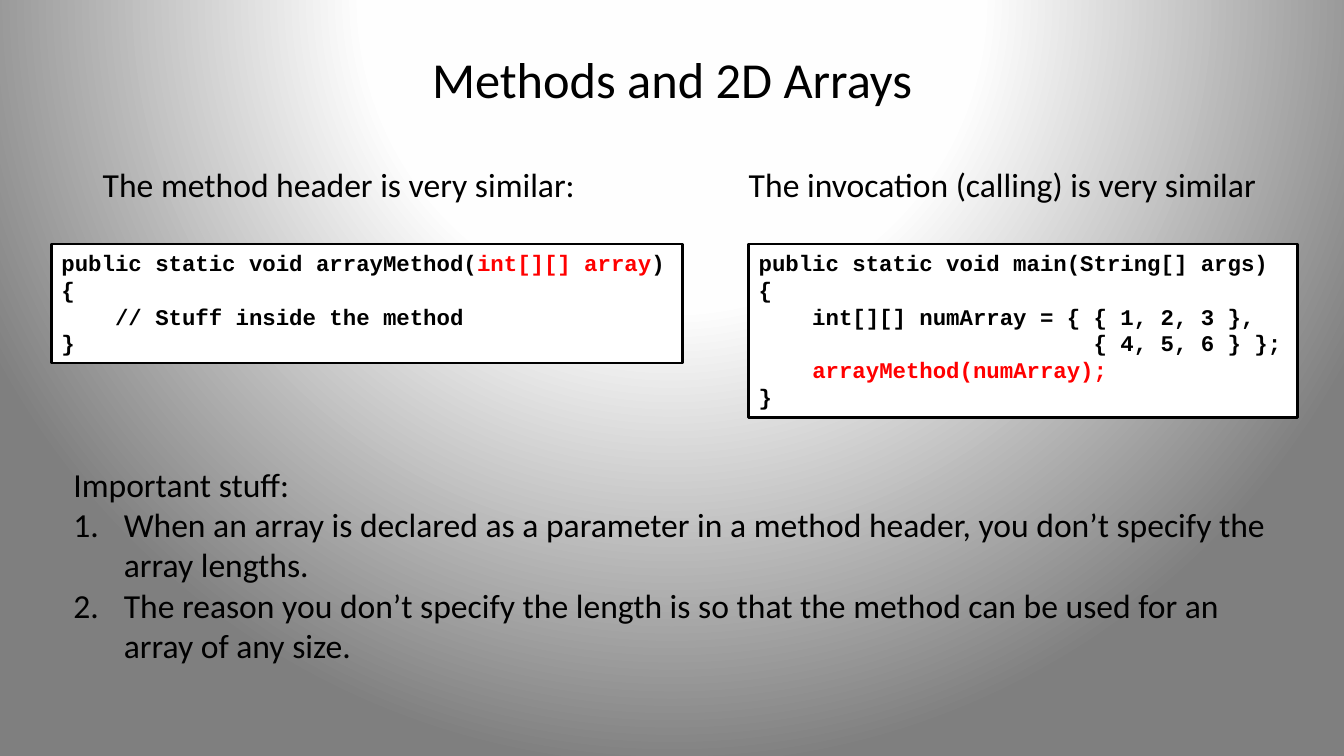
"""Build a slide on passing 2D arrays to methods."""
from pptx import Presentation
from pptx.dml.color import RGBColor as RGB
from pptx.enum.shapes import MSO_SHAPE as SHAPE
from pptx.enum.text import MSO_ANCHOR as ANCHOR, MSO_AUTO_SIZE as AUTO, PP_ALIGN as ALIGN
from pptx.oxml import parse_xml
from pptx.oxml.ns import nsdecls
from pptx.util import Cm, Pt

COLORS = {"black": "000000", "white": "FFFFFF", "red": "FF0000"}
GRADIENT = [(0, "FFFFFF"), (40, "FEFEFE"), (100, "7F7F7F")]
TITLE = "Methods and 2D Arrays"
HEADINGS = [
    ("The method header is very similar:", 2.34, 12.55),
    ("The invocation (calling) is very similar", 18.62, 13.46),
]
CODE = [
    (1.3, 15.9, 3.0, [
        [("public static void arrayMethod(", "black"), ("int[][] array", "red"), (")", "black")],
        [("{", "black")],
        [("    // Stuff inside the method", "black")],
        [("}", "black")],
    ]),
    (18.87, 13.84, 4.37, [
        [("public static void main(String[] args)", "black")],
        [("{", "black")],
        [("    int[][] numArray = { { 1, 2, 3 },", "black")],
        [("                         { 4, 5, 6 } };", "black")],
        [("    ", "black"), ("arrayMethod(numArray);", "red")],
        [("}", "black")],
    ]),
]
NOTES_HEAD = "Important stuff:"
NOTES = [
    "When an array is declared as a parameter in a method header, you don’t specify the\v"
    "array lengths.",
    "The reason you don’t specify the length is so that the method can be used for an\v"
    "array of any size.",
]
HEADING_TOP, HEADING_H, CODE_TOP = 4.01, 1.27, 6.15


def rgb(name):
    return RGB.from_string(COLORS[name])


def style(font, size, name="Calibri", color="black", bold=False):
    font.size, font.name, font.bold = Pt(size), name, bold
    font.color.rgb = rgb(color)


def fit(tf):
    tf.word_wrap = False
    tf.auto_size = AUTO.SHAPE_TO_FIT_TEXT
    tf.vertical_anchor = ANCHOR.TOP


def add_text(s, box, lines):
    tf = s.shapes.add_textbox(*map(Cm, box)).text_frame
    fit(tf)
    for i, line in enumerate(lines):
        p = tf.paragraphs[0] if i == 0 else tf.add_paragraph()
        p.text = line
        for r in p.runs:
            style(r.font, 24)
    return tf


def add_code(s, left, width, height, lines):
    sp = s.shapes.add_shape(SHAPE.RECTANGLE, Cm(left), Cm(CODE_TOP), Cm(width), Cm(height))
    sp.shadow.inherit = False
    sp.fill.solid()
    sp.fill.fore_color.rgb = rgb("white")
    sp.line.color.rgb = rgb("black")
    sp.line.width = Pt(2)
    tf = sp.text_frame
    fit(tf)
    for i, line in enumerate(lines):
        p = tf.paragraphs[0] if i == 0 else tf.add_paragraph()
        p.alignment = ALIGN.LEFT
        for text, color in line:
            r = p.add_run()
            r.text = text
            style(r.font, 16, "Courier New", color, True)


def number(p):
    pPr = p._p.get_or_add_pPr()
    pPr.set("marL", str(Cm(1.27)))
    pPr.set("indent", str(-Cm(1.27)))
    pPr.append(parse_xml(f'<a:buFont {nsdecls("a")} typeface="+mj-lt"/>'))
    pPr.append(parse_xml(f'<a:buAutoNum {nsdecls("a")} type="arabicPeriod"/>'))


def set_background(s):
    s.background.fill.gradient()
    old = s.element.xpath(".//a:gradFill")[0]
    stops = "".join(f'<a:gs pos="{pos * 1000}"><a:srgbClr val="{c}"/></a:gs>'
                    for pos, c in GRADIENT)
    old.getparent().replace(old, parse_xml(
        f'<a:gradFill {nsdecls("a")} rotWithShape="1"><a:gsLst>{stops}</a:gsLst>'
        '<a:path path="circle"><a:fillToRect l="50000" t="-80000" r="50000" b="180000"/>'
        '</a:path></a:gradFill>'))


def main():
    prs = Presentation()
    prs.slide_width, prs.slide_height = Cm(33.87), Cm(19.05)
    s = prs.slides.add_slide(prs.slide_layouts[5])
    set_background(s)

    title = s.shapes.title
    title.left, title.top, title.width, title.height = map(Cm, (1.7, 0.76, 30.48, 2.41))
    title.text_frame.text = TITLE
    title.text_frame.vertical_anchor = ANCHOR.MIDDLE
    p = title.text_frame.paragraphs[0]
    p.alignment = ALIGN.CENTER
    style(p.runs[0].font, 36)

    for text, left, width in HEADINGS:
        add_text(s, (left, HEADING_TOP, width, HEADING_H), [text])
    for block in CODE:
        add_code(s, *block)
    tf = add_text(s, (1.6, 11.56, 30.96, 5.38), [NOTES_HEAD] + NOTES)
    for p in tf.paragraphs[1:]:
        number(p)
    prs.save("out.pptx")


if __name__ == "__main__":
    main()
